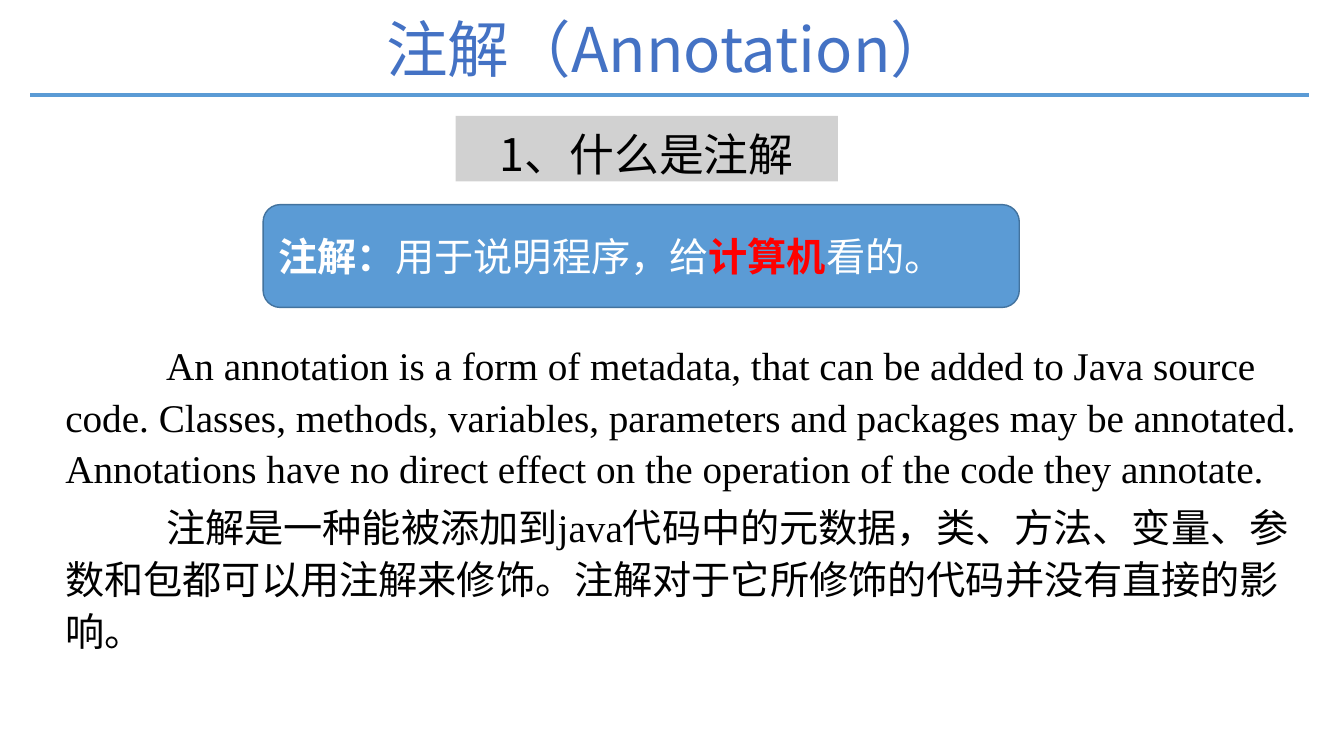
from lxml.etree import SubElement
from pptx import Presentation
from pptx.dml.color import RGBColor
from pptx.enum.shapes import MSO_CONNECTOR as CONNECTOR, MSO_SHAPE as SHAPE
from pptx.enum.text import MSO_ANCHOR as ANCHOR, MSO_AUTO_SIZE as AUTO_SIZE, PP_ALIGN as ALIGN
from pptx.oxml.ns import qn
from pptx.util import Inches, Pt

SANS = "Noto Sans CJK SC"
SERIF = "Times New Roman"
BLUE = "5B9BD5"
DEFINITION = [
    ("注解：", "FFFFFF", True),
    ("用于说明程序，给", "FFFFFF", False),
    ("计算机", "FF0000", True),
    ("看的。", "FFFFFF", False),
]
EXPLANATION = [
    "An annotation is a form of metadata, that can be added to Java source code. "
    "Classes, methods, variables, parameters and packages may be annotated. "
    "Annotations have no direct effect on the operation of the code they annotate.",
    "注解是一种能被添加到java代码中的元数据，类、方法、变量、参数和包都可以用注解来修饰。"
    "注解对于它所修饰的代码并没有直接的影响。",
]


def rgb(value):
    return RGBColor.from_string(value)


def format_run(run, size, color, latin=SANS, bold=False):
    run.font.size = Pt(size)
    run.font.bold = bold
    run.font.color.rgb = rgb(color)
    run.font.name = latin
    SubElement(run.font._element, qn("a:ea"), typeface=SANS)


def place_title(slide, left, top, width, height):
    title = slide.shapes.title
    title.left, title.top = Inches(left), Inches(top)
    title.width, title.height = Inches(width), Inches(height)
    frame = title.text_frame
    frame.text = "注解（Annotation）"
    frame.auto_size = AUTO_SIZE.NONE
    frame.vertical_anchor = ANCHOR.MIDDLE
    heading = frame.paragraphs[0]
    heading.alignment = ALIGN.CENTER
    heading.line_spacing = 0.9
    format_run(heading.runs[0], 44, "4472C4")

    rule_y = Inches(top + 1.14)
    rule = slide.shapes.add_connector(
        CONNECTOR.STRAIGHT, Inches(left), rule_y, Inches(left + width), rule_y)
    rule.line.color.rgb = rgb(BLUE)
    rule.line.width = Pt(2.75)
    SubElement(rule._element.spPr, qn("a:effectLst"))


def add_panel(slide, preset, box, fill):
    panel = slide.shapes.add_shape(preset, *map(Inches, box))
    panel.shadow.inherit = False
    panel.fill.solid()
    panel.fill.fore_color.rgb = rgb(fill)
    panel.text_frame.word_wrap = True
    return panel


def add_section_heading(slide, *box):
    section = add_panel(slide, SHAPE.RECTANGLE, box, "A5A5A5")
    section.line.fill.background()
    fill_color = section._element.spPr.find(qn("a:solidFill"))[0]
    SubElement(fill_color, qn("a:alpha"), val="50000")
    frame = section.text_frame
    frame.text = "1、什么是注解"
    frame.vertical_anchor = ANCHOR.TOP
    heading = frame.paragraphs[0]
    heading.alignment = ALIGN.CENTER
    heading.line_spacing = 1.1
    format_run(heading.runs[0], 32, "000000")


def add_definition(slide, *box):
    definition = add_panel(slide, SHAPE.ROUNDED_RECTANGLE, box, BLUE)
    definition.line.color.rgb = rgb("43739E")
    definition.line.width = Pt(1)
    definition.text_frame.vertical_anchor = ANCHOR.MIDDLE
    sentence = definition.text_frame.paragraphs[0]
    sentence.alignment = ALIGN.LEFT
    for words, color, bold in DEFINITION:
        phrase = sentence.add_run()
        phrase.text = words
        format_run(phrase, 28, color, bold=bold)


def add_explanation(slide, *box):
    frame = slide.shapes.add_textbox(*map(Inches, box)).text_frame
    frame.word_wrap = True
    frame.text = "\n".join(EXPLANATION)
    for paragraph in frame.paragraphs:
        paragraph.line_spacing = 1.1
        paragraph.space_before = Pt(5)
        properties = paragraph._p.get_or_add_pPr()
        properties.set("marL", "0")
        properties.set("indent", str(Inches(1)))
        format_run(paragraph.runs[0], 28, "000000", SERIF)


def main():
    deck = Presentation()
    deck.slide_width, deck.slide_height = Inches(13.33), Inches(7.5)
    slide = deck.slides.add_slide(deck.slide_layouts[5])
    place_title(slide, 0.3, -0.2, 12.68, 1.45)
    add_section_heading(slide, 4.52, 1.15, 3.79, 0.65)
    add_definition(slide, 2.61, 2.03, 7.5, 1.02)
    add_explanation(slide, 0.55, 3.29, 12.43, 3.28)
    deck.save("out.pptx")


if __name__ == "__main__":
    main()
